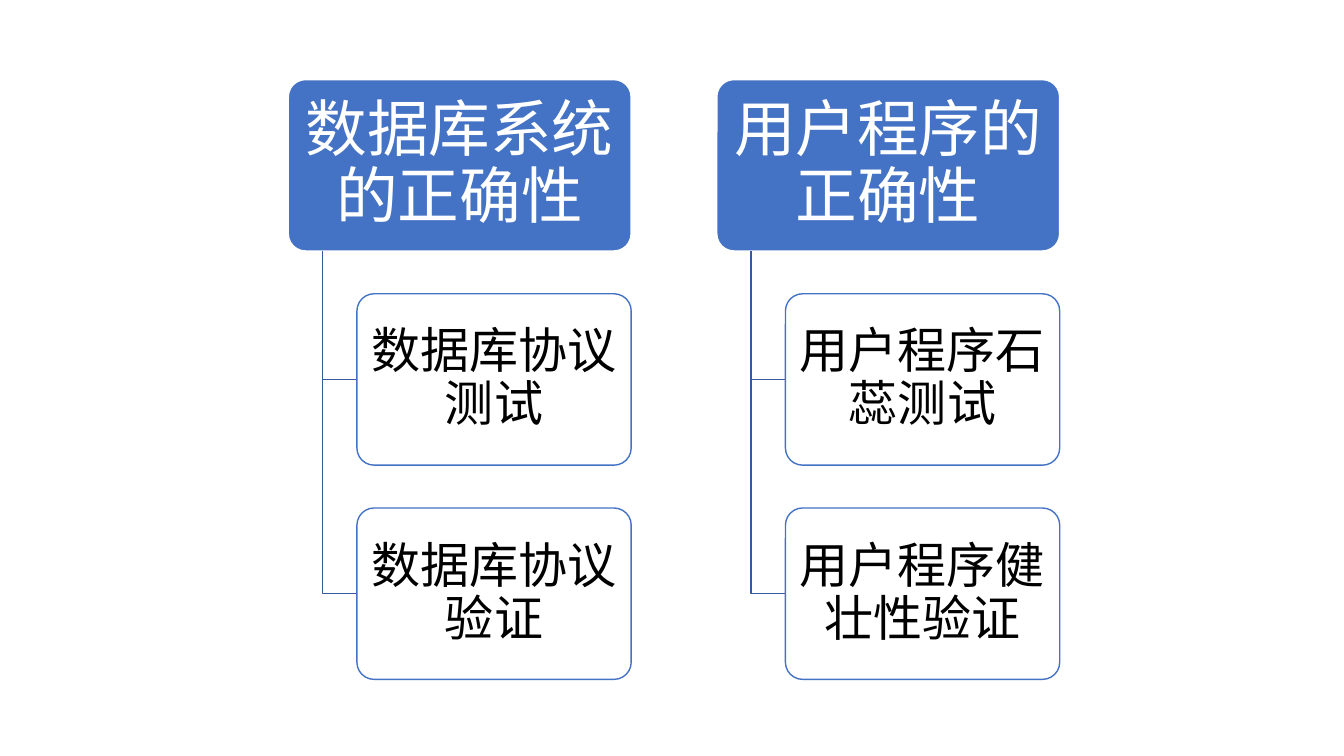
from lxml import etree
from pptx import Presentation
from pptx.dml.color import RGBColor
from pptx.enum.shapes import MSO_SHAPE
from pptx.enum.text import MSO_ANCHOR, PP_ALIGN
from pptx.oxml.ns import qn
from pptx.util import Inches, Pt

ROUND = MSO_SHAPE.ROUNDED_RECTANGLE
MIDDLE = MSO_ANCHOR.MIDDLE
CENTER = PP_ALIGN.CENTER

TREES = [
    ("数据库系统的正确性", ["数据库协议测试", "数据库协议验证"]),
    ("用户程序的正确性", ["用户程序石蕊测试", "用户程序健壮性验证"]),
]


def color(code):
    return RGBColor.from_string(code)


class Chart:
    font = "Noto Sans CJK SC"
    blue, dark, white, black = "4472C4", "365B9D", "FFFFFF", "000000"
    left, top, unit = 2.86, 0.79, 0.34
    high = 5
    step = 6.25

    def __init__(self, slide):
        self.slide = slide

    def spot(self, col, row):
        return (Inches(self.left + col * self.unit),
                Inches(self.top + row * self.unit))

    def box(self, text, col, row, wide, fill, line, ink, size, inset, alpha=None):
        x, y = self.spot(col, row)
        shape = self.slide.shapes.add_shape(
            ROUND, x, y, Inches(wide * self.unit), Inches(self.high * self.unit))
        shape.adjustments[0] = 0.1
        shape.shadow.inherit = False
        shape.fill.solid()
        shape.fill.fore_color.rgb = color(fill)
        if alpha:
            tint = shape._element.spPr.find(".//" + qn("a:srgbClr"))
            etree.SubElement(tint, qn("a:alpha"), val=str(alpha * 1000))
        shape.line.color.rgb = color(line)
        shape.line.width = Pt(1)
        self.label(shape.text_frame, text, ink, size, inset)

    def label(self, frame, text, ink, size, inset):
        frame.word_wrap = True
        frame.vertical_anchor = MIDDLE
        frame.margin_left = frame.margin_right = Inches(inset[0])
        frame.margin_top = frame.margin_bottom = Inches(inset[1])
        para = frame.paragraphs[0]
        para.alignment = CENTER
        para.line_spacing = 0.9
        props = para._p.get_or_add_pPr()
        after = etree.SubElement(props, qn("a:spcAft"))
        etree.SubElement(after, qn("a:spcPct"), val="35000")
        run = para.add_run()
        run.text = text
        run.font.size = Pt(size)
        run.font.name = self.font
        run.font.color.rgb = color(ink)
        etree.SubElement(run._r.get_or_add_rPr(), qn("a:ea"), typeface=self.font)

    def head(self, text, col):
        self.box(text, col, 0, 10, self.blue, self.white, self.white,
                 44, (0.09, 0.06))

    def leaf(self, text, col, row):
        self.box(text, col, row, 8, self.white, self.blue, self.black,
                 35, (0.07, 0.05), 90)

    def branch(self, col, row):
        pen = self.slide.shapes.build_freeform(*self.spot(col, self.high))
        bends = [self.spot(col, row), self.spot(col + 1, row)]
        pen.add_line_segments(bends, close=False)
        shape = pen.convert_to_shape()
        shape.shadow.inherit = False
        shape.fill.background()
        shape.line.color.rgb = color(self.dark)
        shape.line.width = Pt(1)

    def tree(self, title, leaves, col):
        self.head(title, col)
        for level, text in enumerate(leaves, 1):
            row = level * self.step
            self.branch(col + 1, row + self.high / 2)
            self.leaf(text, col + 2, row)


def main():
    deck = Presentation()
    deck.slide_width = Inches(13.33)
    deck.slide_height = Inches(7.5)
    chart = Chart(deck.slides.add_slide(deck.slide_layouts[6]))
    for place, (title, leaves) in enumerate(TREES):
        chart.tree(title, leaves, place * 12.5)
    deck.save("out.pptx")


if __name__ == "__main__":
    main()
